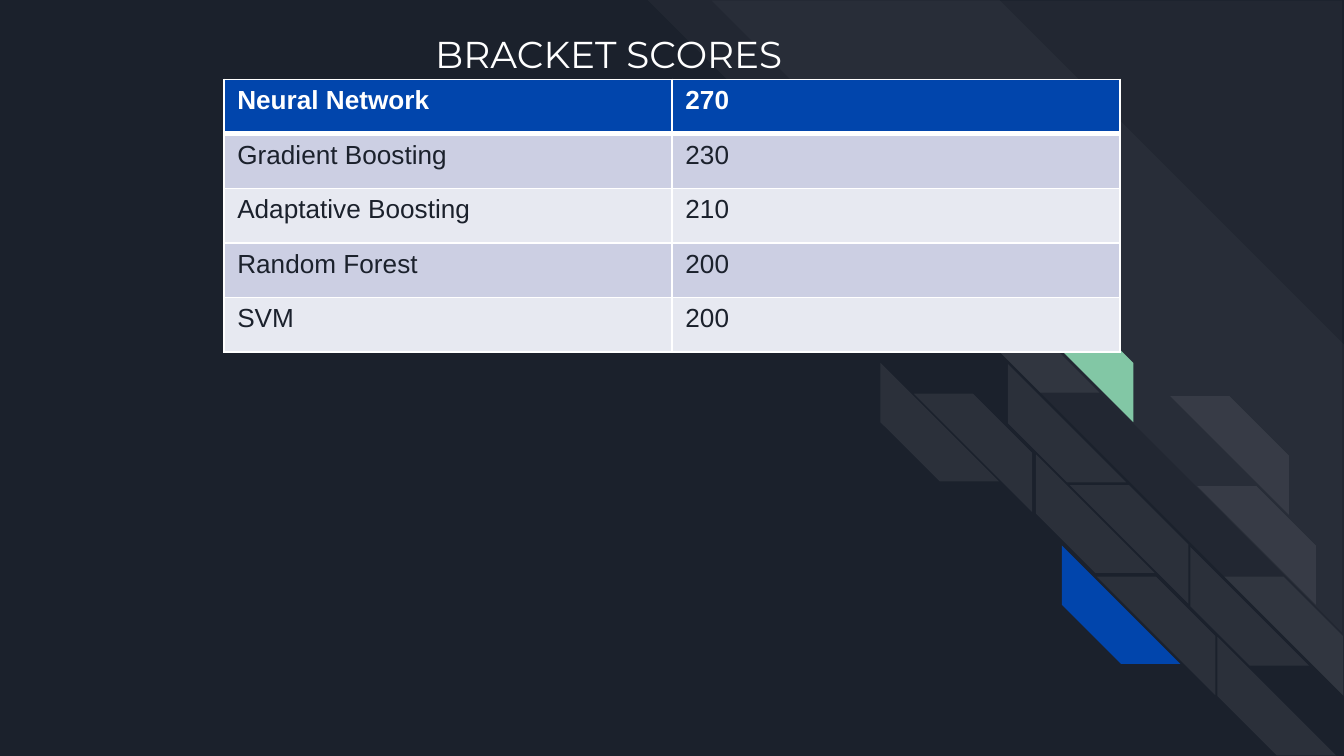
from dataclasses import dataclass

from lxml import etree
from pptx import Presentation
from pptx import util as u
from pptx.dml.color import RGBColor
from pptx.enum import shapes, text
from pptx.oxml.ns import qn

NIGHT = RGBColor(0x1B, 0x21, 0x2C)
WHITE = RGBColor(0xFF, 0xFF, 0xFF)
BLUE = RGBColor(0x01, 0x45, 0xAC)
GREEN = RGBColor(0x82, 0xC7, 0xA5)
BANDS = (RGBColor(0xE7, 0xE9, 0xF1), RGBColor(0xCC, 0xCF, 0xE3))
TILE_SIZE = 2.24


@dataclass
class Stripe:
    left: float
    top: float
    width: float = TILE_SIZE
    height: float = TILE_SIZE
    rotation: int = 270
    cut: float = 0.5
    color: RGBColor = WHITE
    opacity: int = 7


def right_tile(left: float, top: float, **style) -> Stripe:
    return Stripe(left, top, rotation=0, **style)


STRIPES = (
    Stripe(12.24, 0, 13.16, 13.16, 90, 0.495, opacity=3),
    Stripe(13.44, 0.03, 11.94, 11.91, 90, 0, opacity=3),
    Stripe(15.6, 3.43),
    right_tile(16.26, 4.01),
    Stripe(16.64, 6.86),
    right_tile(17.27, 7.44),
    Stripe(18.54, 5.18),
    right_tile(19.18, 5.74, color=GREEN, opacity=100),
    Stripe(19.05, 6.88),
    right_tile(22.12, 7.49),
    right_tile(22.63, 9.19),
    Stripe(19.58, 8.59),
    right_tile(20.22, 9.17),
    Stripe(20.07, 10.31, color=BLUE, opacity=100),
    right_tile(20.73, 10.9),
    Stripe(22.5, 10.34),
    right_tile(23.14, 10.9),
    Stripe(23.01, 12.04),
)

SCORES = (
    ("Neural Network", "270"),
    ("Gradient Boosting", "230"),
    ("Adaptative Boosting", "210"),
    ("Random Forest", "200"),
    ("SVM", "200"),
)


def draw_stripe(page, stripe: Stripe) -> None:
    shape = page.shapes.add_shape(
        shapes.MSO_SHAPE.DIAGONAL_STRIPE,
        u.Cm(stripe.left), u.Cm(stripe.top), u.Cm(stripe.width), u.Cm(stripe.height),
    )
    shape.adjustments[0] = stripe.cut
    shape.rotation = stripe.rotation
    shape.shadow.inherit = False
    shape.line.fill.background()
    shape.fill.solid()
    shape.fill.fore_color.rgb = stripe.color
    properties = shape._element.spPr
    if stripe.rotation == 0:
        properties.find(qn("a:xfrm")).set("flipH", "1")
    if stripe.opacity < 100:
        color = properties.find(qn("a:solidFill"))[0]
        etree.SubElement(color, qn("a:alpha"), val=str(stripe.opacity * 1000))


def format_text(para, size: int, font: str, color: RGBColor, bold: bool = False) -> None:
    for span in para.runs:
        span.font.size = u.Pt(size)
        span.font.name = font
        span.font.color.rgb = color
        span.font.bold = bold


def draw_title(page, title: str) -> None:
    box = page.shapes.add_textbox(u.Cm(5.13), 0, u.Cm(12.75), u.Cm(2.01))
    frame = box.text_frame
    frame.word_wrap = True
    frame.vertical_anchor = text.MSO_ANCHOR.MIDDLE
    frame.margin_left = frame.margin_right = u.Cm(0.25)
    frame.margin_top = frame.margin_bottom = u.Cm(0.25)
    frame.text = title
    para = frame.paragraphs[0]
    para.alignment = text.PP_ALIGN.CENTER
    format_text(para, 20, "Montserrat", WHITE)


def draw_borders(cell, top: int, bottom: int) -> None:
    properties = cell._tc.get_or_add_tcPr()
    for side, width in (("L", 1), ("R", 1), ("T", top), ("B", bottom)):
        line = etree.SubElement(properties, qn(f"a:ln{side}"), w=str(u.Pt(width)))
        fill = etree.SubElement(line, qn("a:solidFill"))
        etree.SubElement(fill, qn("a:srgbClr"), val=str(WHITE))


def draw_scores(page, scores: tuple[tuple[str, str], ...]) -> None:
    table = page.shapes.add_table(
        len(scores), 2, u.Cm(4.23), u.Cm(1.5), u.Cm(16.94), u.Cm(5.15)
    ).table
    for row, values in enumerate(scores):
        header = row == 0
        for column, value in enumerate(values):
            cell = table.cell(row, column)
            cell.text_frame.text = value
            format_text(cell.text_frame.paragraphs[0], 14, "Arial",
                        WHITE if header else NIGHT, header)
            draw_borders(cell, 3 if row == 1 else 1, 3 if header else 1)
            cell.fill.solid()
            cell.fill.fore_color.rgb = BLUE if header else BANDS[row % 2]


def main() -> None:
    """Build the bracket scores slide."""
    deck = Presentation()
    deck.slide_width, deck.slide_height = u.Cm(25.4), u.Cm(14.29)
    page = deck.slides.add_slide(deck.slide_layouts[6])
    page.background.fill.solid()
    page.background.fill.fore_color.rgb = NIGHT
    for stripe in STRIPES:
        draw_stripe(page, stripe)
    draw_title(page, "BRACKET SCORES")
    draw_scores(page, SCORES)
    deck.save("out.pptx")


if __name__ == "__main__":
    main()
